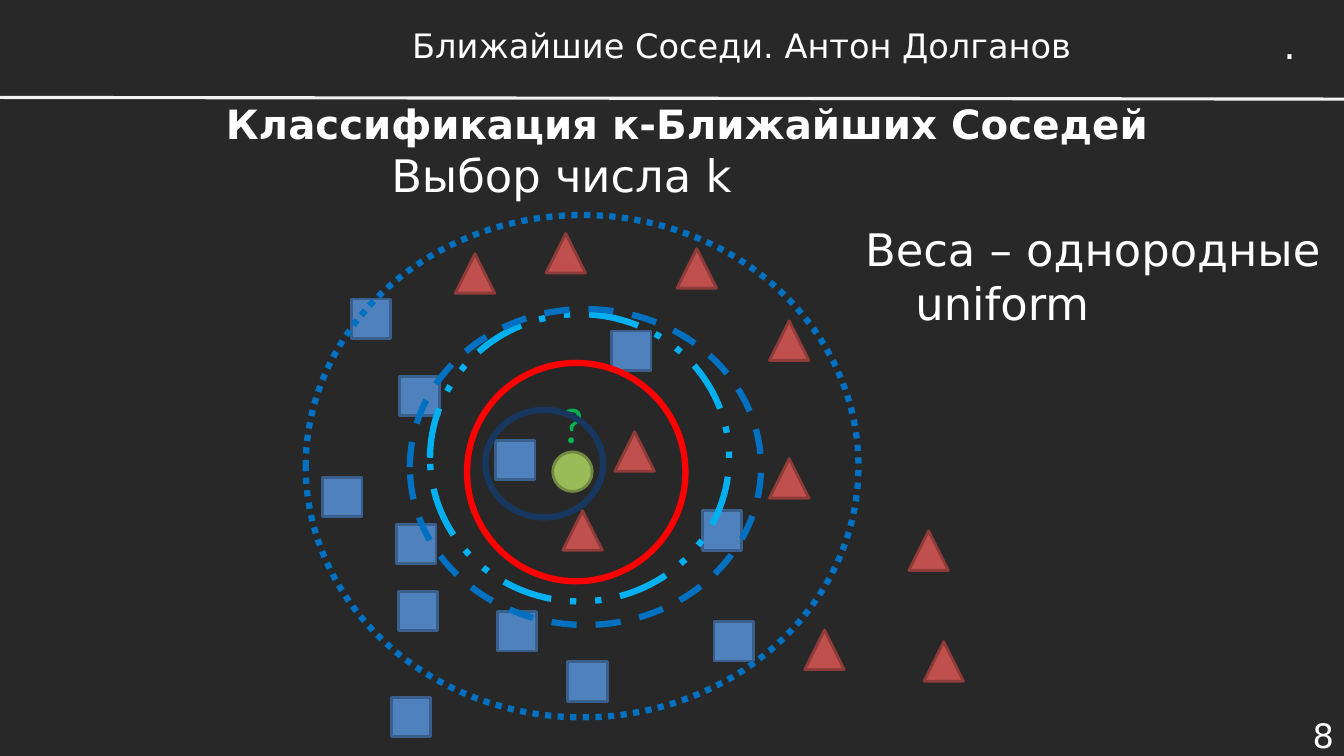
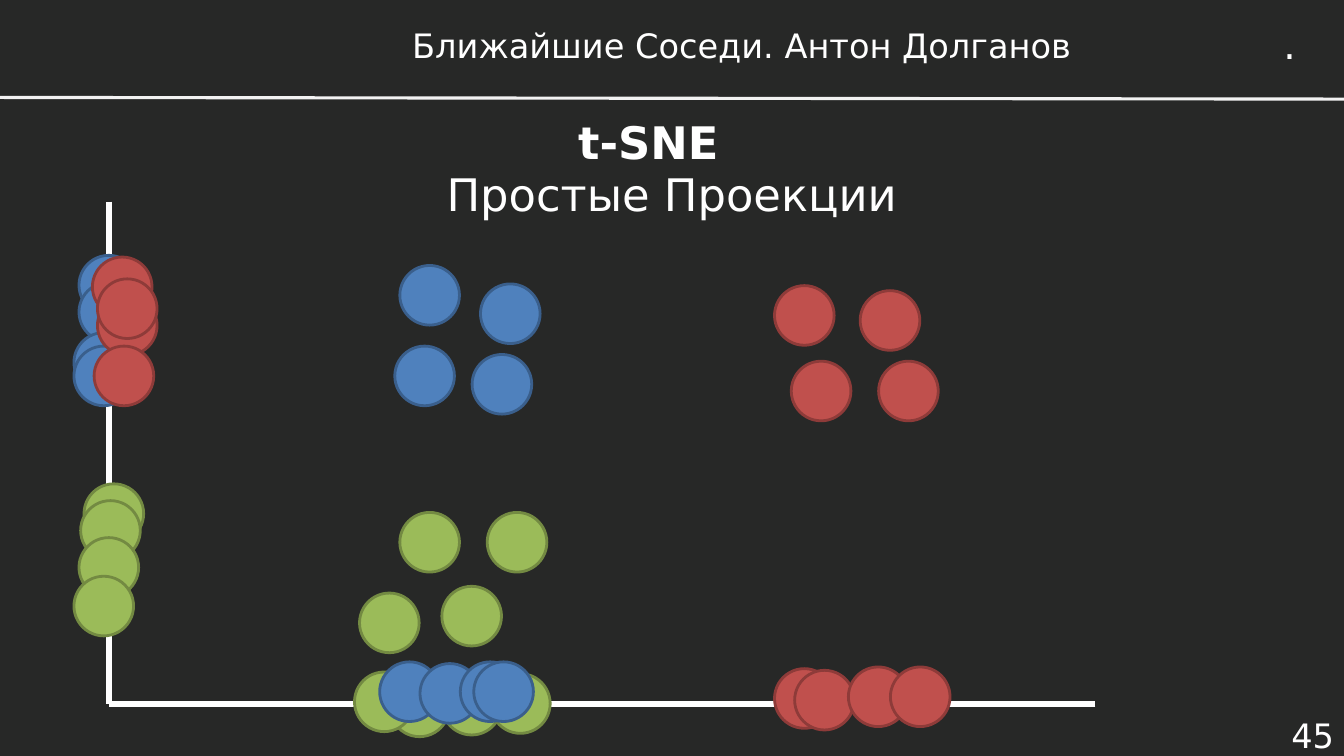
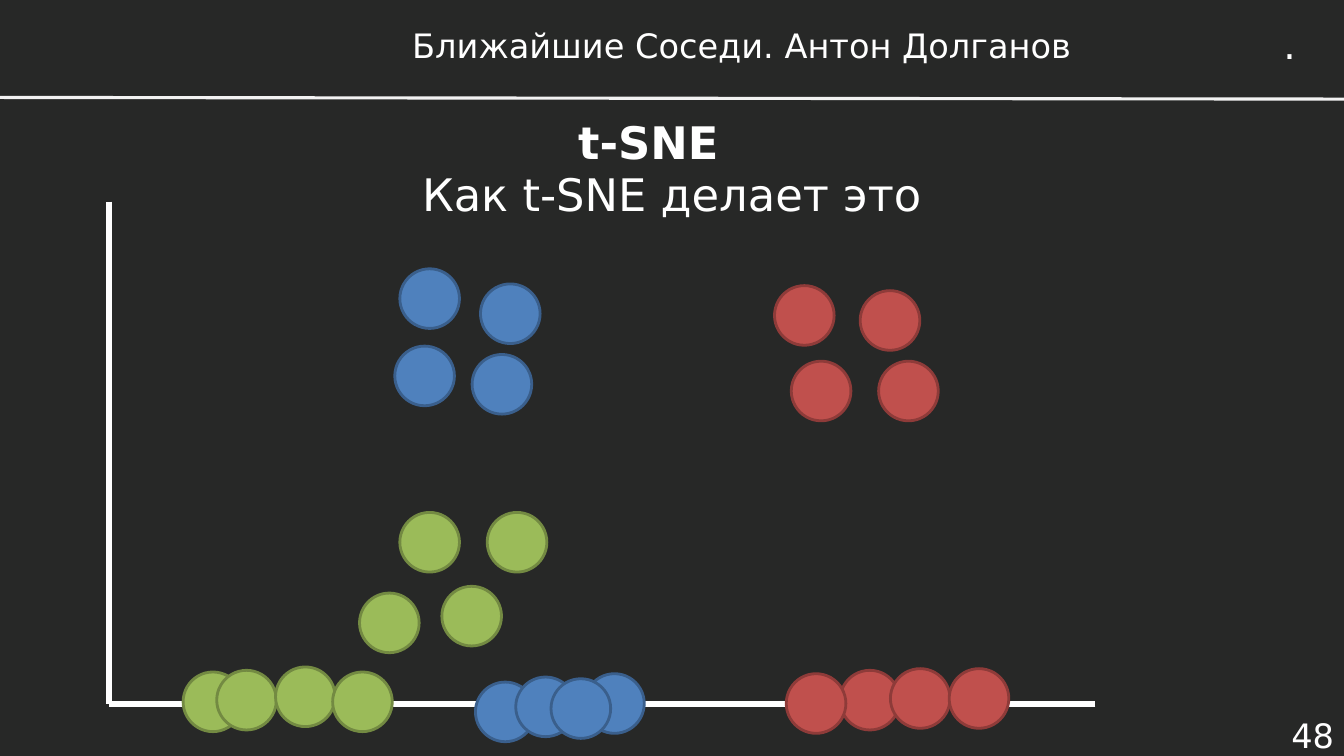
from dataclasses import dataclass

from lxml import etree
from pptx import Presentation
from pptx import util as u
from pptx.dml.color import RGBColor
from pptx.enum import dml, shapes, text
from pptx.oxml import ns


@dataclass(frozen=True)
class Theme:
    background: str = "272827"
    ink: str = "FFFFFF"
    rule: str = "F2F2F2"
    question: str = "00B050"
    blue: tuple = ("4F81BD", "3A5F8C")
    red: tuple = ("C0504D", "8E3B39")
    green: tuple = ("9BBB59", "738A42")
    ring_red: str = "FF0000"
    ring_sky: str = "00B0F0"
    ring_blue: str = "0070C0"
    ring_navy: str = "17375E"
    font: str = "DejaVu Sans"
    question_font: str = "Calibri"
    small: float = 24
    mark: float = 28
    long_title: float = 28.8
    heading: float = 32
    question_size: float = 36
    thin: float = 2
    rule_width: float = 2.25
    thick: float = 4.5


theme = Theme()
COLUMNS, ROWS = 80, 45
presentation = Presentation()
presentation.slide_height = u.Inches(7.5)
CELL = presentation.slide_height // ROWS
presentation.slide_width = CELL * COLUMNS
LEFT, CENTER, RIGHT = text.PP_ALIGN.LEFT, text.PP_ALIGN.CENTER, text.PP_ALIGN.RIGHT
TOP, MIDDLE = text.MSO_ANCHOR.TOP, text.MSO_ANCHOR.MIDDLE
OVAL = shapes.MSO_SHAPE.OVAL


def write(slide, content, box, size=theme.heading, color=theme.ink, font=theme.font,
          bold=False, align=CENTER, anchor=MIDDLE, wrap=True, shape=None):
    place = [round(value * CELL) for value in box]
    if shape is None:
        shape = slide.shapes.add_textbox(*place)
    shape.left, shape.top, shape.width, shape.height = place
    frame = shape.text_frame
    frame.text = content
    frame.word_wrap = wrap
    frame.auto_size = text.MSO_AUTO_SIZE.NONE
    frame.vertical_anchor = anchor
    for paragraph in frame.paragraphs:
        paragraph.alignment = align
        for run in paragraph.runs:
            run.font.name = font
            run.font.size = u.Pt(size)
            run.font.bold = bold
            run.font.color.rgb = RGBColor.from_string(color)


def draw(slide, kind, box, line, width=theme.thin, fill=None, dash=None):
    place = [round(value * CELL) for value in box]
    if kind == "line":
        shape = slide.shapes.add_connector(shapes.MSO_CONNECTOR.STRAIGHT, *place)
    else:
        shape = slide.shapes.add_shape(kind, *place)
        shape.shadow.inherit = False
        if fill:
            shape.fill.solid()
            shape.fill.fore_color.rgb = RGBColor.from_string(fill)
        else:
            shape.fill.background()
    shape.line.color.rgb = RGBColor.from_string(line)
    shape.line.width = u.Pt(width)
    if dash:
        shape.line.dash_style = dash
    if kind == "line":
        etree.SubElement(shape._element.spPr, ns.qn("a:effectLst"))


master_fill = presentation.slide_master.background.fill
master_fill.solid()
master_fill.fore_color.rgb = RGBColor.from_string(theme.background)

title_only = presentation.slide_layouts.get_by_name("Title Only")
long_title = ("Классификация к-Ближайших Соседей", (11.6, 4.6, 58.6, 5.5), theme.long_title)
short_title = ("t-SNE", (12.6, 5.7, 52, 5.5), theme.heading)
slides = []
for number, (title, title_box, title_size) in (
    ("8", long_title), ("45", short_title), ("48", short_title),
):
    slide = presentation.slides.add_slide(title_only)
    write(slide, title, title_box, size=title_size, bold=True, shape=slide.shapes.title)
    write(slide, number, (73.7, 42.5, 6.3, 2.5), size=theme.small, align=RIGHT)
    write(slide, "Ближайшие Соседи. Антон Долганов", (20.6, 1.1, 47.1, 3.2), size=theme.small)
    draw(slide, "line", (0, 5.8, COLUMNS, 5.9), theme.rule, theme.rule_width)
    write(slide, ".", (75.8, 0.9, 2, 3.4), size=theme.mark, align=LEFT, anchor=TOP, wrap=False)
    slides.append(slide)
neighbours, projections, embedding = slides

SAMPLE = 2.35
samples = (
    (shapes.MSO_SHAPE.RECTANGLE, theme.blue, (
        (29.5, 26.2), (36.4, 19.7), (41.8, 30.4), (20.9, 17.8), (23.7, 35.2), (33.8, 39.4),
        (42.5, 37), (23.3, 41.5), (29.6, 36.4), (23.6, 31.2), (19.2, 28.4), (23.8, 22.4))),
    (shapes.MSO_SHAPE.ISOSCELES_TRIANGLE, theme.red, (
        (32.5, 13.9), (36.6, 25.7), (27.1, 15.1), (40.3, 14.8), (45.8, 27.3),
        (54.1, 31.6), (47.9, 37.5), (33.5, 30.4), (55, 38.2), (45.8, 19.1))),
    (OVAL, theme.green, ((32.9, 26.9),)),
)
for kind, (fill, line), places in samples:
    for column, row in places:
        draw(neighbours, kind, (column, row, SAMPLE, SAMPLE), line, fill=fill)
write(neighbours, "?", (32.8, 23.1, 2.6, 4.3), size=theme.question_size, color=theme.question,
      font=theme.question_font, align=LEFT, anchor=TOP, wrap=False)

rings = (
    ((27.8, 21.6, 13, 13), theme.ring_red, None),
    ((25.6, 18.7, 17.8, 17.1), theme.ring_sky, dml.MSO_LINE.DASH_DOT_DOT),
    ((24.4, 18.4, 20.9, 18.8), theme.ring_blue, dml.MSO_LINE.DASH),
    ((18.2, 12.8, 32.9, 29.9), theme.ring_blue, dml.MSO_LINE.ROUND_DOT),
    ((28.9, 24.4, 7, 6.4), theme.ring_navy, None),
)
for box, color, dash in rings:
    draw(neighbours, OVAL, box, color, theme.thick, dash=dash)
write(neighbours, "Выбор числа k", (22.7, 8.5, 21.7, 3.8), align=LEFT, anchor=TOP)
write(neighbours, "Веса – однородные\n\tuniform", (50.9, 12.9, 28.5, 7.1), align=LEFT, anchor=TOP)

DOT = 3.55
blue_cluster = ((28.6, 16.9), (28.1, 21.1), (23.5, 20.6))
clusters = (
    (theme.red, ((46.1, 17), (51.2, 17.3), (52.3, 21.5), (47.1, 21.5))),
    (theme.green, ((23.8, 30.5), (29, 30.5), (21.4, 35.3), (26.3, 34.9))),
)
projected = (
    (theme.blue, ((4.7, 15.2), (4.7, 16.8), (4.4, 19.8), (4.4, 20.6))),
    (theme.red, ((5.5, 15.3), (5.8, 17.6), (5.8, 16.6), (5.6, 20.6))),
    (theme.green, ((5, 28.8), (4.8, 29.8), (4.7, 32), (4.4, 34.3))),
    (theme.green, ((29.2, 40.1), (26.3, 40.2), (23.2, 40.3), (21.1, 40))),
    (theme.red, ((46.1, 39.8), (47.3, 39.9), (50.5, 39.7), (53, 39.7))),
    (theme.blue, ((22.6, 39.4), (25, 39.5), (27.4, 39.4), (28.2, 39.4))),
)
embedded = (
    (theme.green, ((10.9, 40), (12.9, 39.9), (16.4, 39.7), (19.8, 40))),
    (theme.red, ((50, 39.9), (46.8, 40.1), (53, 39.8), (56.5, 39.8))),
    (theme.blue, ((28.3, 40.6), (30.7, 40.3), (34.8, 40.1), (32.8, 40.4))),
)
for slide, subtitle, first_blue, axis_dots in (
    (projections, "Простые Проекции", (23.8, 15.8), projected),
    (embedding, "Как t-SNE делает это", (23.8, 16), embedded),
):
    write(slide, subtitle, (17.3, 8.8, 45.4, 5.5))
    for axis in ((6.5, 12, 6.5, 41.9), (65.2, 41.9, 6.5, 41.9)):
        draw(slide, "line", axis, theme.ink, theme.thick)
    for (fill, line), places in ((theme.blue, (first_blue, *blue_cluster)), *clusters, *axis_dots):
        for column, row in places:
            draw(slide, OVAL, (column, row, DOT, DOT), line, fill=fill)

presentation.save("out.pptx")
